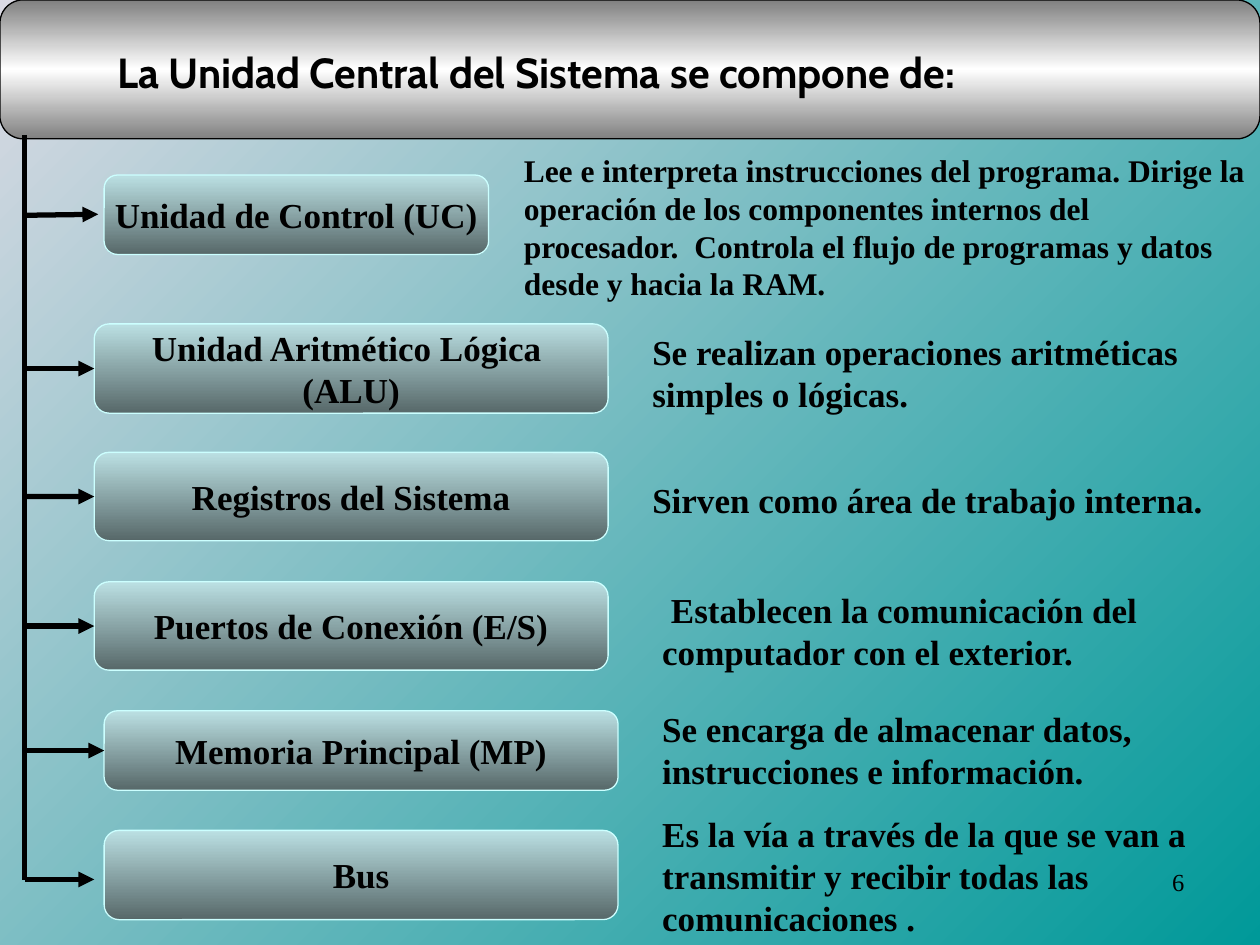
from copy import deepcopy
from dataclasses import dataclass

from lxml.etree import SubElement
from pptx import Presentation
from pptx.dml.color import RGBColor
from pptx.enum.shapes import MSO_CONNECTOR, MSO_SHAPE
from pptx.enum.text import MSO_ANCHOR, MSO_AUTO_SIZE, PP_ALIGN
from pptx.oxml.ns import qn
from pptx.util import Cm, Pt

BLACK = RGBColor(0x00, 0x00, 0x00)
WHITE = RGBColor(0xFF, 0xFF, 0xFF)
GRAY = RGBColor(0x80, 0x80, 0x80)
LILAC = RGBColor(0xDB, 0xDA, 0xE4)
TEAL = RGBColor(0x00, 0x99, 0x99)
PALE_BLUE = RGBColor(0xBB, 0xE0, 0xE3)
SLATE = RGBColor(0x57, 0x68, 0x69)
ICE = RGBColor(0xCC, 0xFF, 0xFF)
SERIF = "Times New Roman"
TITLE_FONT = "Cabin"


@dataclass
class Box:
    """A rectangle in centimetres."""
    left: float
    top: float
    width: float
    height: float

    def inner(self, left, top, width, height):
        """Return a rectangle given relative to this one."""
        return Box(self.left + left, self.top + top, width, height)

    def lengths(self):
        """Return left, top, width and height as slide lengths."""
        return [Cm(value) for value in (self.left, self.top, self.width, self.height)]


@dataclass
class Component:
    """One part of the central unit, with the places of its node, arrow and text."""
    label: str
    description: str
    box: Box
    node_left: float
    node_width: float
    text_left: float
    text_top: float
    text_width: float = 11.68
    size: int = 20
    free_arrow: tuple = ()


COMPONENTS = [
    Component("Unidad de Control (UC)",
              "Lee e interpreta instrucciones del programa. Dirige la operación de los "
              "componentes internos del procesador.  Controla el flujo de programas y "
              "datos desde y hacia la RAM.",
              Box(0.5, 3.53, 24.9, 1.6), 1.6, 7.75, 9.81, -0.61, 15.09, 18,
              (1.48, 0.81, 0.79)),
    Component("Unidad Aritmético Lógica \n(ALU)",
              "Se realizan operaciones aritméticas simples o lógicas.",
              Box(0.5, 6.53, 24.9, 1.8), 1.4, 10.36, 12.4, 0),
    Component("Registros del Sistema", "Sirven como área de trabajo interna.",
              Box(0.5, 9.12, 24.9, 1.78), 1.4, 10.36, 12.4, 0.4),
    Component("Puertos de Conexión (E/S)",
              " Establecen la comunicación del computador con el exterior.",
              Box(0.5, 11.73, 24.9, 1.78), 1.4, 10.36, 12.6, 0),
    Component("Memoria Principal (MP)",
              "Se encarga de almacenar datos, instrucciones e información.",
              Box(0.5, 14.33, 24.9, 1.6), 1.6, 10.36, 12.6, -0.2),
    Component("Bus",
              "Es la vía a través de la que se van a transmitir y recibir todas las "
              "comunicaciones .",
              Box(0.5, 16.74, 24.9, 1.8), 1.6, 10.36, 12.6, -0.48,
              free_arrow=(1.4, 0.99, 0.99)),
]


def set_gradient(fill, angle, *colors):
    """Fill with evenly spaced colours along a clockwise angle."""
    fill.gradient()
    fill.gradient_angle = 360 - angle
    last = fill.gradient_stops[1]._gs
    for _ in colors[2:]:
        last.addnext(deepcopy(last))
    for index, (stop, color) in enumerate(zip(fill.gradient_stops, colors)):
        stop.color.rgb = color
        stop.position = index / (len(colors) - 1)


def write_text(shape, text, size=20, font=SERIF, bold=True, align=PP_ALIGN.LEFT,
               anchor=MSO_ANCHOR.TOP, wrap=True):
    """Write formatted text into a shape, one paragraph per line."""
    frame = shape.text_frame
    frame.word_wrap = wrap
    frame.auto_size = MSO_AUTO_SIZE.NONE
    frame.vertical_anchor = anchor
    frame.text = text
    for para in frame.paragraphs:
        para.alignment = align
        for span in para.runs:
            span.font.name = font
            span.font.size = Pt(size)
            span.font.bold = bold
            span.font.color.rgb = BLACK


def add_text(page, box, text, **style):
    """Add a text box."""
    write_text(page.shapes.add_textbox(*box.lengths()), text, **style)


def add_panel(page, box, line_color, *colors):
    """Add a rounded rectangle with a vertical gradient."""
    panel = page.shapes.add_shape(MSO_SHAPE.ROUNDED_RECTANGLE, *box.lengths())
    panel.shadow.inherit = False
    set_gradient(panel.fill, 90, *colors)
    panel.line.color.rgb = line_color
    panel.line.width = Pt(0.75)
    return panel


def add_line(page, start, end, arrow=False):
    """Add a thick black line, with an arrowhead on request."""
    points = [Cm(value) for value in (*start, *end)]
    line = page.shapes.add_connector(MSO_CONNECTOR.STRAIGHT, *points)
    line.line.color.rgb = BLACK
    line.line.width = Pt(3)
    if arrow:
        SubElement(line.line._get_or_add_ln(), qn("a:tailEnd"), type="triangle")
    SubElement(line._element.spPr, qn("a:effectLst"))
    return line


def add_header(page, box):
    """Place the title on its metallic bar."""
    bar = add_panel(page, box, BLACK, GRAY, WHITE, GRAY)
    page.shapes._spTree.insert(2, bar._element)
    title = page.shapes.title
    place = box.inner(2.11, 0.43, 22.3, 2.03)
    title.left, title.top, title.width, title.height = place.lengths()
    write_text(title, "La Unidad Central del Sistema se compone de:", size=24,
               font=TITLE_FONT, anchor=MSO_ANCHOR.MIDDLE)


def add_component(page, component):
    """Place a node, its description and the arrow that leads to it."""
    box = component.box
    place = box.inner(component.node_left, 0, component.node_width, box.height)
    node = add_panel(page, place, ICE, PALE_BLUE, SLATE)
    write_text(node, component.label, align=PP_ALIGN.CENTER,
               anchor=MSO_ANCHOR.MIDDLE, wrap=False)
    add_text(page, box.inner(component.text_left, component.text_top,
                             component.text_width, 2.8),
             component.description, size=component.size)
    middle = box.height / 2
    reach, start, end = component.free_arrow or (component.node_left, middle, middle)
    arrow = add_line(page, (box.left, box.top + start),
                     (box.left + reach, box.top + end), arrow=True)
    if not component.free_arrow:
        arrow.end_connect(node, 1)


def main():
    """Build the slide and save it."""
    deck = Presentation()
    deck.slide_width, deck.slide_height = Cm(25.4), Cm(19.05)
    page = deck.slides.add_slide(deck.slide_layouts[5])
    set_gradient(page.background.fill, 45, LILAC, TEAL)
    add_header(page, Box(0, 0, 25.4, 2.8))
    for component in COMPONENTS:
        add_component(page, component)
    add_line(page, (0.5, 2.72), (0.5, 17.73))
    add_text(page, Box(18.21, 17.35, 5.92, 1.32), "6", size=14, bold=False,
             align=PP_ALIGN.RIGHT)
    deck.save("out.pptx")


if __name__ == "__main__":
    main()
